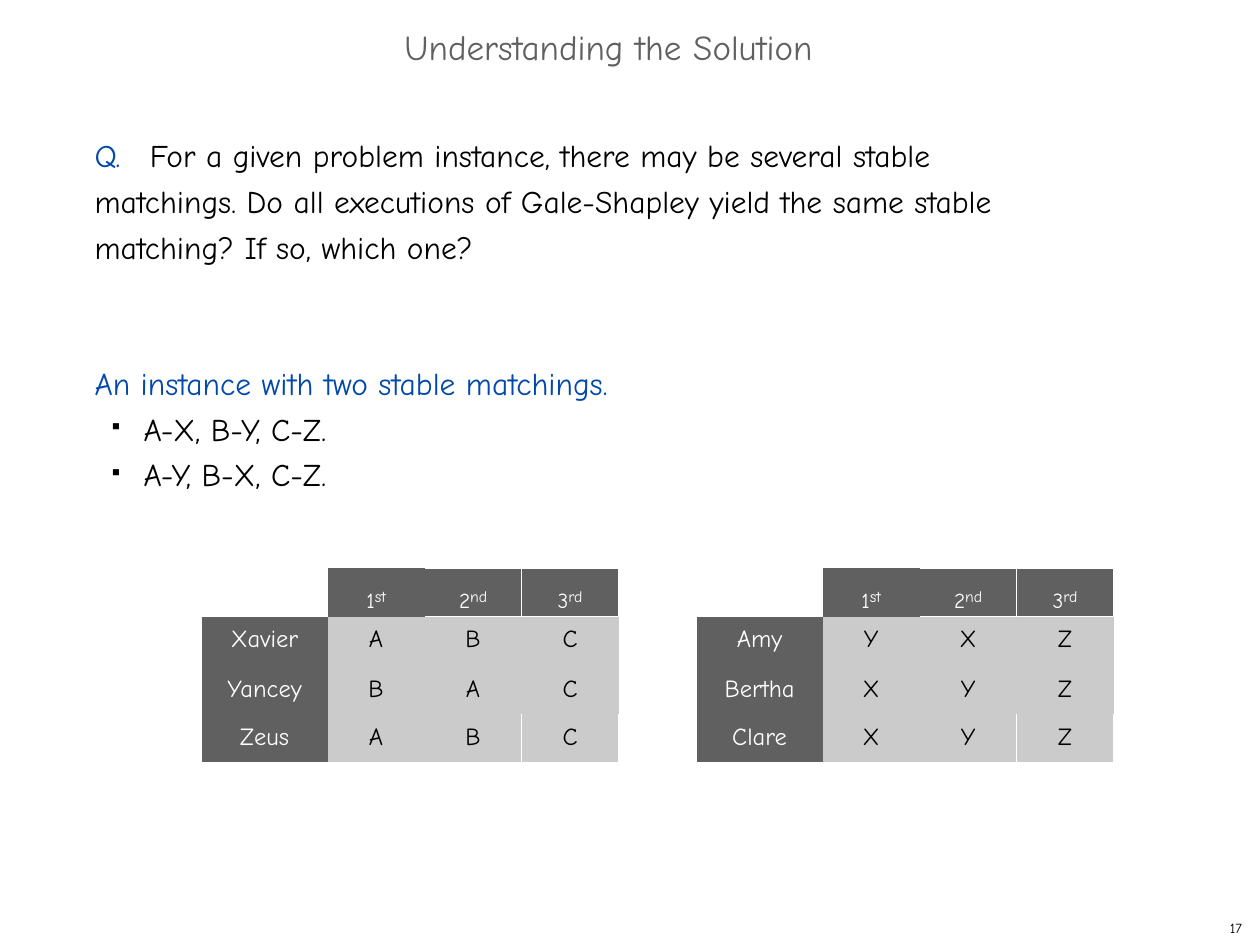
from dataclasses import dataclass
from lxml.etree import SubElement
from pptx import Presentation
from pptx.dml.color import RGBColor
from pptx.enum.shapes import MSO_SHAPE
from pptx.enum.text import MSO_AUTO_SIZE, PP_ALIGN
from pptx.oxml.ns import qn
from pptx.util import Inches, Pt


@dataclass(frozen=True)
class Theme:
    font: str = "Comic Neue"
    title: str = "5F6061"
    blue: str = "0048AA"
    black: str = "000000"
    white: str = "FFFFFF"
    header: str = "5F605F"
    body: str = "CBCBCB"
    title_size: int = 20
    text_size: int = 18
    cell_size: int = 14
    rank_size: int = 21
    suffix_size: int = 9
    page_size: int = 8


T = Theme()


def write(p, text, size=T.text_size, color=T.black, before=None, align=None, baseline=None):
    """Append a run to the paragraph; before and align format the paragraph."""
    r = p.add_run()
    r.text = text
    r.font.name = T.font
    r.font.size = Pt(size)
    r.font.color.rgb = RGBColor.from_string(color)
    if baseline is not None:
        r.font._element.set("baseline", str(baseline))
    if before is not None:
        p.space_before = Pt(before)
    if align is not None:
        p.alignment = align


def add_text_frame(left, top, width, height, inset=0.01):
    tf = slide.shapes.add_textbox(Inches(left), Inches(top), Inches(width), Inches(height)).text_frame
    tf.word_wrap = True
    tf.auto_size = MSO_AUTO_SIZE.SHAPE_TO_FIT_TEXT
    tf.margin_left = tf.margin_right = tf.margin_bottom = 0
    tf.margin_top = Inches(inset)
    return tf


prs = Presentation()
prs.slide_width, prs.slide_height = Inches(10), Inches(7.5)
slide = prs.slides.add_slide(prs.slide_layouts[6])

# Title
p = add_text_frame(3.21, 0.19, 3.58, 0.36).paragraphs[0]
write(p, "Understanding the Solution", size=T.title_size, color=T.title, before=0.9)

# Question
p = add_text_frame(0.75, 1.01, 7.75, 1.11).paragraphs[0]
p.line_spacing = 1.21
write(p, "Q.\t", color=T.blue, before=0.8)
write(p, "For a given problem instance, there may be several stable matchings. "
         "Do all executions of Gale-Shapley yield the same stable matching? If so, which one?")
tabs = SubElement(p._p.get_or_add_pPr(), qn("a:tabLst"))
SubElement(tabs, qn("a:tab"), pos=str(Inches(0.44)), algn="l")

# Stable matchings
tf = add_text_frame(0.75, 2.82, 4.55, 1.11, inset=0.07)
write(tf.paragraphs[0], "An instance with two stable matchings.", color=T.blue, before=5.3)
for matching in ("A-X, B-Y, C-Z.", "A-Y, B-X, C-Z."):
    p = tf.add_paragraph()
    write(p, matching, before=4.3)
    pPr = p._p.get_or_add_pPr()
    pPr.set("marL", str(Inches(0.39)))
    pPr.set("indent", str(Inches(-0.25)))
    SubElement(pPr, qn("a:buSzPct"), val="33000")
    SubElement(pPr, qn("a:buChar"), char="■")

# Preference lists: two groups of columns in one table, with a gap between them
LEFT, TOP = 1.6, 4.51
NAME_W, RANK_W, GAP_W, ROW_H = 1, 0.77, 0.62, 0.385
GROUP_W = NAME_W + 3 * RANK_W
RANKS = (("1", "st"), ("2", "nd"), ("3", "rd"))
GROUPS = (
    (("Xavier", "ABC"), ("Yancey", "BAC"), ("Zeus", "ABC")),
    (("Amy", "YXZ"), ("Bertha", "XYZ"), ("Clare", "XYZ")),
)

# Outlined tiles show through the unfilled table cells
for group in range(2):
    for rank in (1, 2):
        for row, color in ((0, T.header), (3, T.body)):
            left = LEFT + group * (GROUP_W + GAP_W) + NAME_W + rank * RANK_W
            sp = slide.shapes.add_shape(MSO_SHAPE.RECTANGLE, Inches(left), Inches(TOP + row * ROW_H),
                                        Inches(RANK_W), Inches(ROW_H))
            sp.shadow.inherit = False
            sp.fill.solid()
            sp.fill.fore_color.rgb = RGBColor.from_string(color)
            sp.line.color.rgb = RGBColor.from_string(T.white)
            sp.line.width = Pt(0.72)

widths = [NAME_W, *[RANK_W] * 3, GAP_W, NAME_W, *[RANK_W] * 3]
table = slide.shapes.add_table(4, len(widths), Inches(LEFT), Inches(TOP),
                               Inches(sum(widths)), Inches(4 * ROW_H)).table
table.first_row = table.horz_banding = False
NO_STYLE = "{2D5ABB26-0587-4C30-8999-92F81FD0307C}"
table._tbl.tblPr.find(qn("a:tableStyleId")).text = NO_STYLE
for column, width in zip(table.columns, widths):
    column.width = Inches(width)
for row in table.rows:
    row.height = Inches(ROW_H)
for cell in table.iter_cells():
    cell.margin_left = cell.margin_right = cell.margin_top = cell.margin_bottom = 0
    cell.fill.background()

for group, people in enumerate(GROUPS):
    first = group * 5
    for rank, (number, suffix) in enumerate(RANKS, 1):
        cell = table.cell(0, first + rank)
        cell.margin_top = Inches(0.01)
        p = cell.text_frame.paragraphs[0]
        write(p, number, size=T.rank_size, color=T.white, before=0.6, align=PP_ALIGN.CENTER, baseline=-16000)
        write(p, suffix, size=T.suffix_size, color=T.white)
        if rank == 1:
            cell.fill.solid()
            cell.fill.fore_color.rgb = RGBColor.from_string(T.header)
    for row, (name, choices) in enumerate(people, 1):
        for col, text in enumerate((name, *choices)):
            cell = table.cell(row, first + col)
            cell.margin_top = Inches(0.07 if row == 1 else 0.08)
            write(cell.text_frame.paragraphs[0], text, size=T.cell_size,
                  color=T.black if col else T.white,
                  before=4.7 if row == 1 else 5.5, align=PP_ALIGN.CENTER)
            if row < 3 or col < 2:
                cell.fill.solid()
                cell.fill.fore_color.rgb = RGBColor.from_string(T.body if col else T.header)

# Page number
p = add_text_frame(9.72, 7.28, 0.22, 0.18, inset=0.02).paragraphs[0]
p._p.get_or_add_pPr().set("marL", str(Inches(0.04)))
write(p, "17", size=T.page_size, before=1.7)

prs.save("out.pptx")
